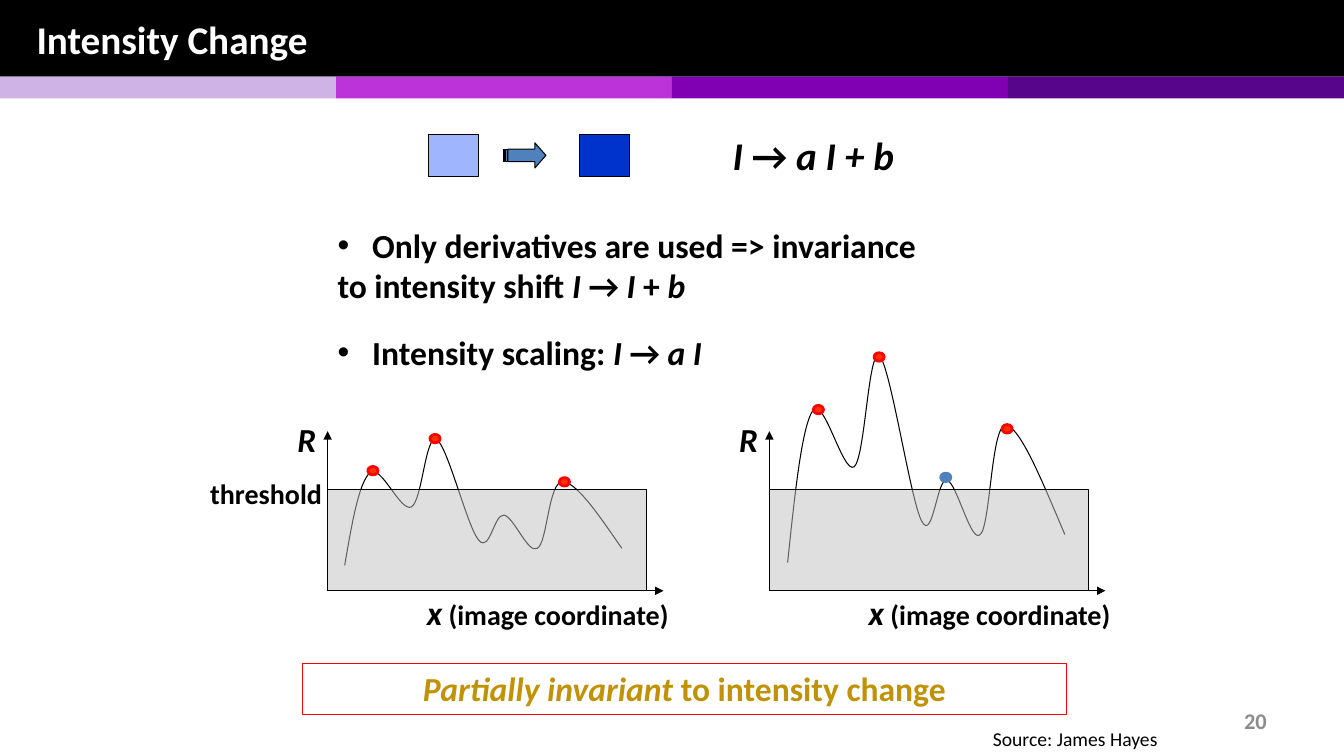
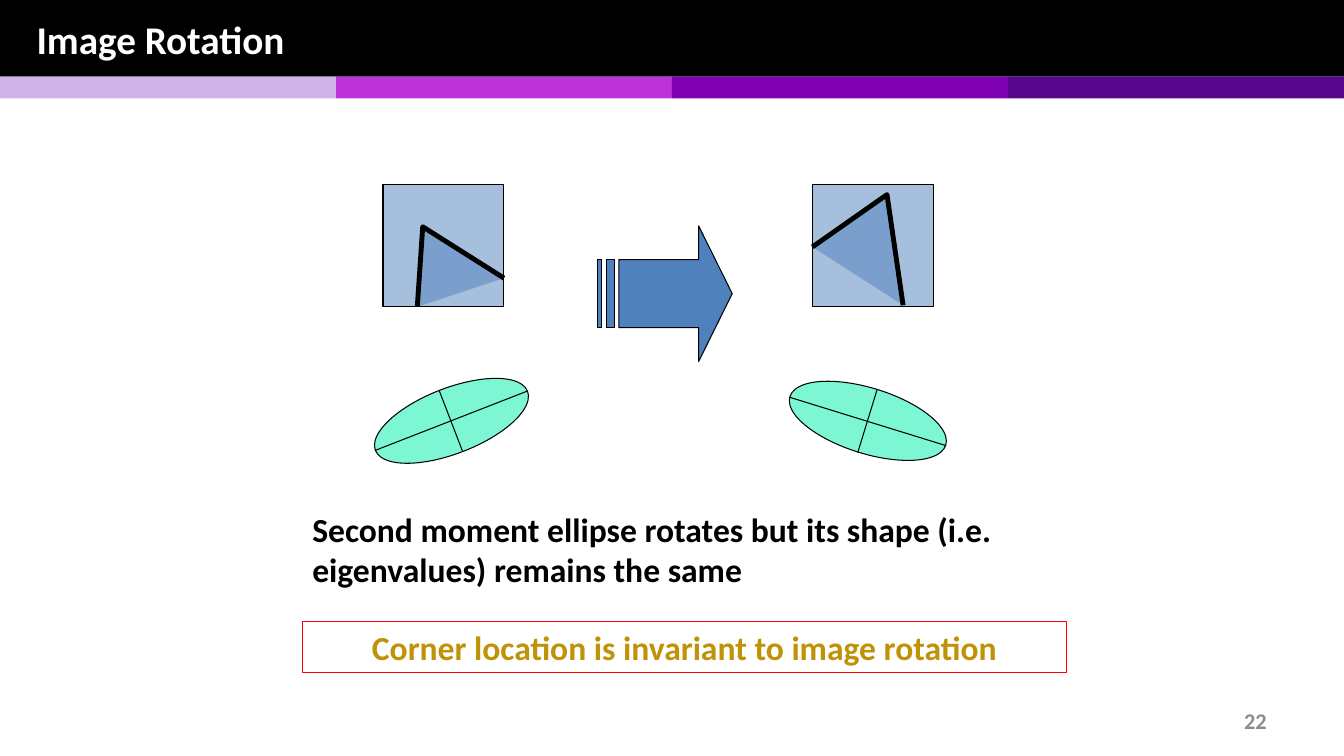
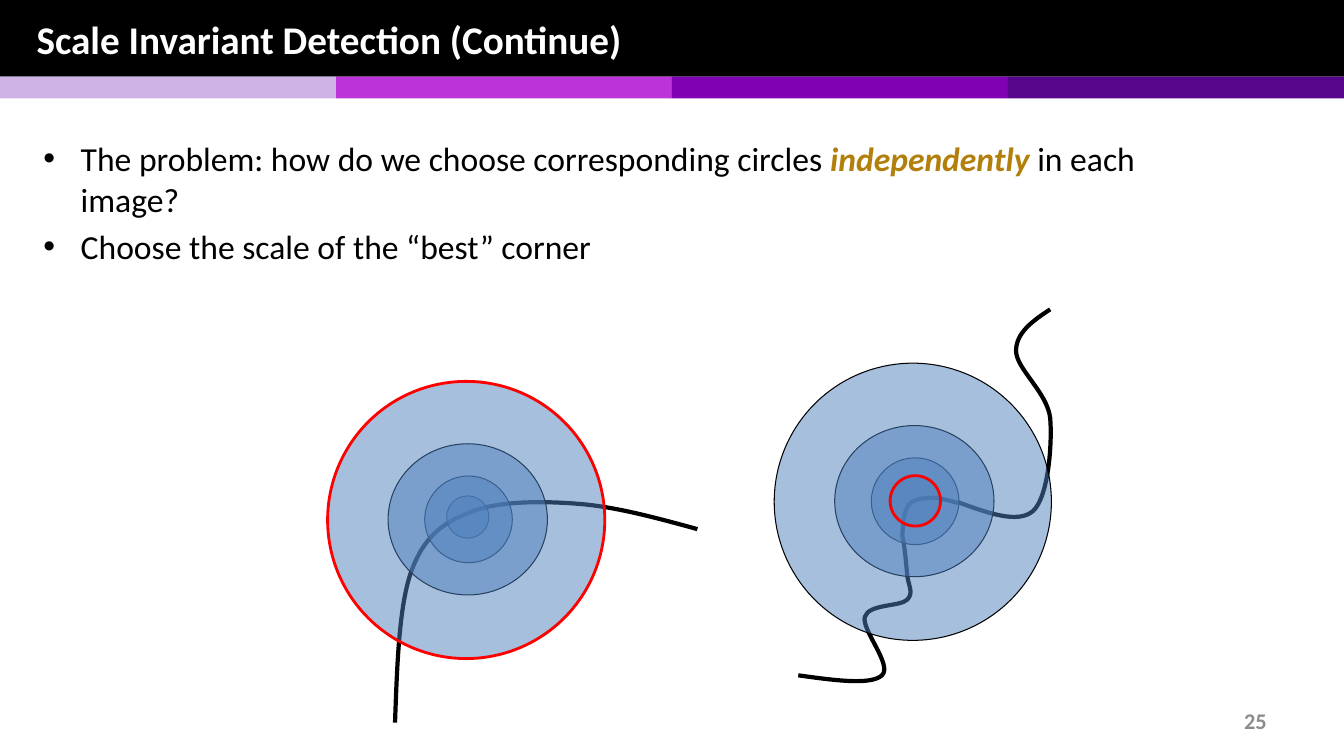
from lxml import etree
from pptx import Presentation
from pptx.dml.color import RGBColor
from pptx.enum.shapes import MSO_CONNECTOR, MSO_SHAPE
from pptx.enum.text import MSO_ANCHOR, PP_ALIGN
from pptx.oxml.ns import qn
from pptx.util import Pt

RECT, OVAL = MSO_SHAPE.RECTANGLE, MSO_SHAPE.OVAL
STRIPED_ARROW = MSO_SHAPE.STRIPED_RIGHT_ARROW
LEFT, CENTER, RIGHT = PP_ALIGN.LEFT, PP_ALIGN.CENTER, PP_ALIGN.RIGHT
MIDDLE = MSO_ANCHOR.MIDDLE
STRAIGHT = MSO_CONNECTOR.STRAIGHT

FONT = "Calibri"
BLACK, WHITE, GREY = "000000", "FFFFFF", "8C8C8C"
RED, GOLD, BLUE, MINT = "FF0000", "C09207", "4F81BD", "7CF6D3"
BANDS = ("CFB3E6", "BD33DA", "8000B3", "57058A")
TAB_STOP = 24.8

rgb = RGBColor.from_string


def style(shape, fill=None, line=None, width=0.75, alpha=None):
    """Set fill, outline and opacity (percent), and drop the shadow."""
    shape.shadow.inherit = False
    if fill:
        shape.fill.solid()
        shape.fill.fore_color.rgb = rgb(fill)
    else:
        shape.fill.background()
    if alpha:
        colour = shape.element.spPr.find(qn("a:solidFill"))[0]
        etree.SubElement(colour, qn("a:alpha"), val=str(alpha * 1000))
    if line:
        shape.line.color.rgb = rgb(line)
        shape.line.width = Pt(width)
    else:
        shape.line.fill.background()


def write(paragraph, text, size, colour=BLACK, align=LEFT, bold=True, bullet=None):
    """Fill a paragraph; *starred* parts are italic, bullet is the hanging indent."""
    paragraph.alignment = align
    if bullet is not None:
        props = paragraph._p.get_or_add_pPr()
        props.set("marL", str(Pt(bullet)))
        props.set("indent", str(-Pt(bullet)))
        etree.SubElement(props, qn("a:buFont"), typeface="Arial")
        etree.SubElement(props, qn("a:buChar"), char="•")
        tabs = etree.SubElement(props, qn("a:tabLst"))
        etree.SubElement(tabs, qn("a:tab"), pos=str(Pt(TAB_STOP)), algn="l")
    font = paragraph.font
    font.name, font.size, font.bold = FONT, Pt(size), bold
    font.color.rgb = rgb(colour)
    for index, part in enumerate(text.split("*")):
        if part:
            run = paragraph.add_run()
            run.text = part
            if index % 2:
                run.font.italic = True


prs = Presentation()
prs.slide_width, prs.slide_height = Pt(960), Pt(540)

# Header, colour bands and page number
slides = []
for title, number in (
    ("Intensity Change", "20"),
    ("Image Rotation", "22"),
    ("Scale Invariant Detection (Continue)", "25"),
):
    slide = prs.slides.add_slide(prs.slide_layouts[6])
    slides.append(slide)
    header = slide.shapes.add_shape(RECT, 0, 0, Pt(960), Pt(54.7))
    style(header, BLACK)
    for index, colour in enumerate(BANDS):
        band = slide.shapes.add_shape(RECT, Pt(240 * index), Pt(54.7), Pt(240), Pt(15.6))
        style(band, colour)
    for text, x, y, w, h, size, colour, align in (
        (title, 19, 0.7, 923, 54, 28, WHITE, LEFT),
        (number, 688.3, 500.4, 223.6, 28.8, 16, GREY, RIGHT),
    ):
        frame = slide.shapes.add_textbox(Pt(x), Pt(y), Pt(w), Pt(h)).text_frame
        frame.word_wrap = True
        frame.vertical_anchor = MIDDLE
        write(frame.paragraphs[0], text, size, colour, align)
intensity, rotation, scale = slides

# Curves: a start point, then two controls and an end point per Bézier segment
GRAPH_SHIFT = 315.6
CURVE_SHIFT = 316.4
INTENSITY_GAIN = 1.64
response = [
    (246.2, 403.9), (251.3, 374.4), (256.3, 344.9), (264.2, 337.7),
    (272.2, 331.2), (285.8, 365.8), (293.8, 362.2),
    (301.7, 357.8), (303.8, 310.3), (311.8, 313.9),
    (319.7, 318.2), (334.1, 377.3), (342, 385.9),
    (349.9, 395.3), (352.8, 367.2), (360, 367.9),
    (367.2, 369.4), (377.3, 396), (383.8, 391.7),
    (391, 388.1), (391.7, 344.2), (401.8, 344.2),
    (411.8, 344.2), (427.7, 367.9), (444.2, 391.7),
]
scaled_response = [
    (x + CURVE_SHIFT, 401.8 - INTENSITY_GAIN * (403.9 - y)) for x, y in response
]
smooth_corner = [
    (282.2, 516.2), (283.7, 474.5), (285.1, 432.7), (293.8, 408.2),
    (303.1, 383), (316.1, 373.7), (336.2, 365.8),
    (355.7, 357.8), (387.4, 357.8), (414, 360),
    (440.6, 362.2), (469.4, 370.1), (498.2, 378),
]
winding_tail = [
    (570.2, 482.4), (596.2, 486), (622.1, 489.6), (630, 482.4),
    (637.9, 475.2), (614.9, 449.3), (617.8, 440.6),
    (620.6, 431.3), (643, 433.4), (648, 428.4),
    (653, 423.4), (648.7, 418.3), (648, 410.4),
    (647.3, 403.2), (646.6, 393.1), (644.8, 383.8),
]
winding_corner = [
    (644.4, 383.8), (645.1, 376.6), (645.1, 368.6), (647.3, 364.3),
    (648.7, 360), (650.9, 358.6), (654.5, 357.1),
    (658.1, 355.7), (663.8, 355.7), (668.9, 355.7),
    (673.9, 356.4), (679, 357.8), (684, 359.3),
]
winding_head = [
    (684, 358.6), (705.6, 366.5), (727.2, 374.4), (738, 365),
    (748.8, 355), (751.7, 317.5), (750.2, 298.8),
    (748.1, 280.1), (725.8, 263.5), (725.8, 250.6),
    (725.8, 237.6), (738, 229), (750.2, 221),
]
for slide, points, width in (
    (intensity, response, 0.75),
    (intensity, scaled_response, 0.75),
    (scale, winding_head, 3),
    (scale, winding_tail, 3),
    (scale, smooth_corner, 3),
    (scale, winding_corner, 3),
):
    start, *rest = [(Pt(x), Pt(y)) for x, y in points]
    builder = slide.shapes.build_freeform(*start)
    builder.add_line_segments(rest, close=False)
    curve = builder.convert_to_shape()
    outline = next(curve.element.iter(qn("a:path")))
    corners = outline.findall(qn("a:lnTo"))
    for first in range(0, len(corners), 3):
        bezier = etree.SubElement(outline, qn("a:cubicBezTo"))
        for corner in corners[first:first + 3]:
            bezier.append(corner[0])
            outline.remove(corner)
    style(curve, line=BLACK, width=width)

# Preset shapes: slide, kind, left, top, width, height, fill, line, opacity, rotation
shapes = [
    (intensity, RECT, 306, 96, 36, 30, "9FB6FF", BLACK, None, 0),
    (intensity, RECT, 414, 96, 36, 30, "0033CC", BLACK, None, 0),
    (intensity, RECT, 234, 350, 228, 72, "C0C0C0", BLACK, 50, 0),
    (intensity, RECT, 234 + GRAPH_SHIFT, 350, 228, 72, "C0C0C0", BLACK, 50, 0),
    (rotation, RECT, 273.6, 131.8, 86.4, 87, BLUE, BLACK, 50, 0),
    (rotation, RECT, 580.3, 131.8, 86.4, 87, BLUE, BLACK, 50, 0),
    (rotation, OVAL, 264.2, 277.2, 116.6, 46.8, MINT, BLACK, None, -21.2),
    (rotation, OVAL, 561.6, 277.2, 116.6, 46.8, MINT, BLACK, None, 17.3),
    (scale, OVAL, 319, 354.2, 30.2, 30.2, BLUE, BLACK, 50, 0),
]
for dx, dy, outer_line in ((0, 0, RED), (319, -13, BLACK)):
    for x, y, w, h, line in (
        (303.4, 340, 62.6, 62, BLACK),
        (277.2, 317, 113.8, 108, BLACK),
        (234, 272.4, 198, 198, outer_line),
    ):
        shapes.append((scale, OVAL, x + dx, y + dy, w, h, BLUE, line, 50, 0))
shapes.append((scale, OVAL, 635.8, 339.8, 36, 36, BLUE, RED, 50, 0))
for slide, kind, x, y, w, h, fill, line, alpha, angle in shapes:
    shape = slide.shapes.add_shape(kind, Pt(x), Pt(y), Pt(w), Pt(h))
    style(shape, fill, line, 2 if line == RED else 0.75, alpha)
    shape.rotation = angle

for slide, x, y, w, h, head in (
    (intensity, 360, 102, 30, 18, 0.44),
    (rotation, 427, 161.3, 96, 97, 0.25),
):
    arrow = slide.shapes.add_shape(STRIPED_ARROW, Pt(x), Pt(y), Pt(w), Pt(h))
    arrow.adjustments[1] = head
    style(arrow, BLUE, BLACK)

# Peaks of the two response curves
for x, y, fill, line in (
    (262.8, 333.2, "FF3300", RED),
    (307.2, 310.3, "FF3300", RED),
    (399.6, 341.2, "FF3300", RED),
    (581, 289.6, "FF3300", RED),
    (624.4, 252, "FF3300", RED),
    (672, 338, BLUE, BLUE),
    (715.8, 303.3, "FF3300", RED),
):
    peak = intensity.shapes.add_shape(OVAL, Pt(x), Pt(y), Pt(7.2), Pt(6))
    style(peak, fill, line, 2)

# Image corners before and after rotation
for start, tip, end in (
    ((298.1, 219.2), (302, 162), (360, 198.7)),
    ((580.3, 176.4), (633.6, 139), (645.1, 218)),
):
    builder = rotation.shapes.build_freeform(Pt(start[0]), Pt(start[1]))
    builder.add_line_segments([[Pt(v) for v in tip], [Pt(v) for v in end]], close=False)
    style(builder.convert_to_shape(), BLUE, BLACK, 3.5, 50)

# Graph axes and ellipse axes
lines = [
    (rotation, 267.8, 321.8, 376.6, 279.4, False),
    (rotation, 313.9, 279.4, 330.5, 322.6, False),
    (rotation, 563.8, 283.7, 675.4, 318.2, False),
    (rotation, 626.4, 278.6, 612.7, 323.3, False),
]
for origin in (234, 234 + GRAPH_SHIFT):
    lines.append((intensity, origin, 422, origin + 240, 422, True))
    lines.append((intensity, origin, 422, origin, 308, True))
for slide, x1, y1, x2, y2, arrowed in lines:
    axis = slide.shapes.add_connector(STRAIGHT, Pt(x1), Pt(y1), Pt(x2), Pt(y2))
    axis.line.color.rgb = rgb(BLACK)
    axis.line.width = Pt(0.75)
    if arrowed:
        etree.SubElement(axis.line._get_or_add_ln(), qn("a:tailEnd"), type="triangle")
    etree.SubElement(axis.element.spPr, qn("a:effectLst"))

# Single-paragraph texts: slide, text, left, top, width, height, size, align, wrap, bullet
labels = [
    (intensity, "*I* → *a I + b*", 516.2, 90, 134, 41, 28, LEFT, False, None),
    (intensity, "\tOnly derivatives are used => invariance to intensity shift *I* → *I* + *b*",
     234, 157, 437.8, 65.5, 24, LEFT, True, 0),
    (intensity, "\tIntensity scaling: *I* → *a I*", 234, 233.3, 408, 36.7, 24, LEFT, True, 0),
    (intensity, "threshold", 142.6, 337, 95, 31.7, 20, CENTER, False, None),
    (rotation, "Second moment ellipse rotates but its shape (i.e. eigenvalues) remains the same",
     216, 360, 527.8, 65.5, 24, LEFT, True, None),
]
for dx in (0, GRAPH_SHIFT):
    labels.append((intensity, "*R*", 205.2 + dx, 296, 28, 36.7, 24, CENTER, False, None))
    labels.append((intensity, "*x* (image coordinate)", 296.6 + dx, 419, 189.4, 36.7,
                   24, CENTER, False, None))
for slide, text, x, y, w, h, size, align, wrap, bullet in labels:
    frame = slide.shapes.add_textbox(Pt(x), Pt(y), Pt(w), Pt(h)).text_frame
    frame.word_wrap = wrap
    write(frame.paragraphs[0], text, size, BLACK, align, bullet=bullet)
    if "coordinate" in text:
        frame.paragraphs[0].runs[1].font.size = Pt(20)

# Framed conclusions
for slide, text, y in (
    (intensity, "*Partially invariant* to intensity change", 473.8),
    (rotation, "Corner location is invariant to image rotation", 444),
):
    conclusion = slide.shapes.add_textbox(Pt(216), Pt(y), Pt(545.8), Pt(36.3))
    style(conclusion, line=RED)
    conclusion.text_frame.word_wrap = True
    write(conclusion.text_frame.paragraphs[0], text, 24, GOLD, CENTER)

credit = intensity.shapes.add_textbox(Pt(705.6), Pt(515.5), Pt(135.4), Pt(24.5)).text_frame
credit.word_wrap = True
credit.margin_left = credit.margin_right = Pt(3.6)
credit.margin_top = credit.margin_bottom = Pt(3.6)
write(credit.paragraphs[0], "Source: James Hayes", 14, bold=False)

# Scale question
question = scale.shapes.add_textbox(Pt(24), Pt(95.2), Pt(864), Pt(480)).text_frame
question.word_wrap = True
problem, choice = question.paragraphs[0], question.add_paragraph()
write(problem,
      "The problem: how do we choose corresponding circles *independently* in each image?",
      24, bold=False, bullet=26.6)
emphasis = problem.runs[1].font
emphasis.bold = True
emphasis.color.rgb = rgb("B27F0B")
write(choice, "Choose the scale of the “best” corner", 24, bold=False, bullet=26.6)
choice.space_before = Pt(4.8)

prs.save("out.pptx")
